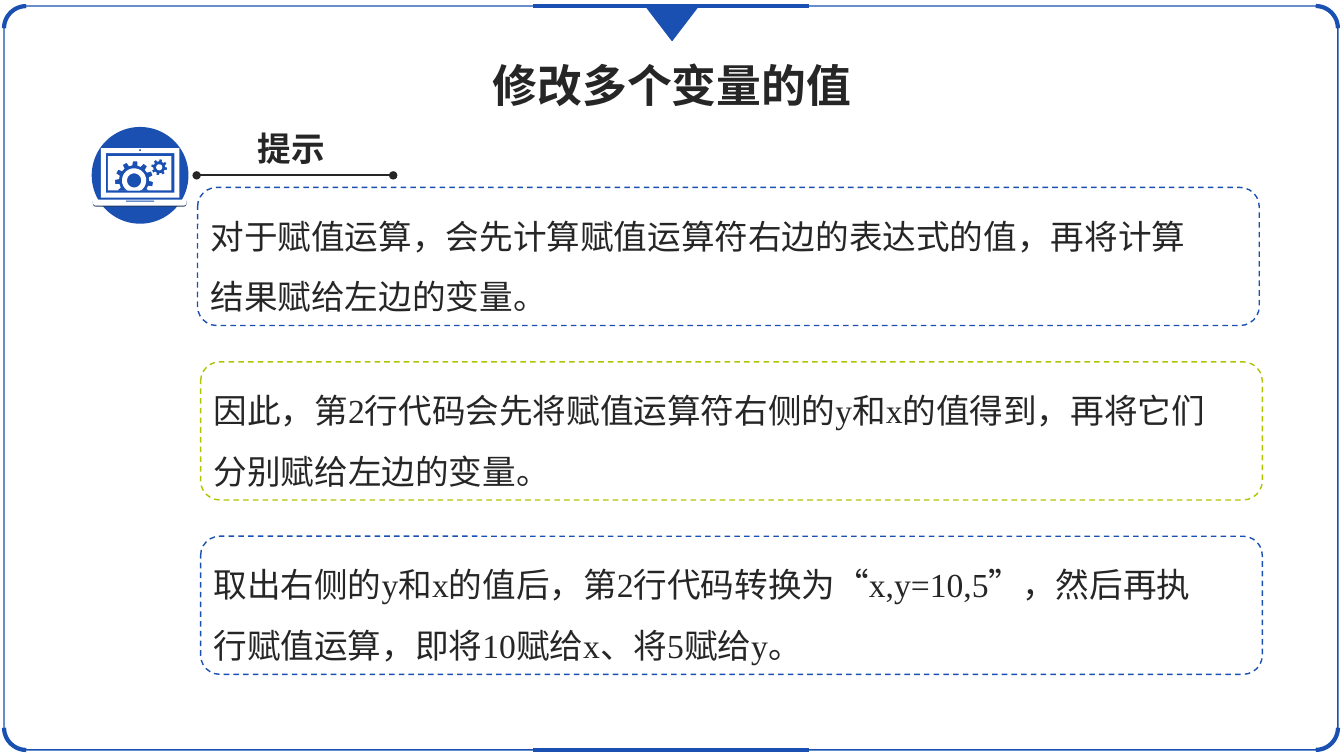
import dataclasses
import math

import lxml.etree
import pptx
import pptx.dml.color
import pptx.enum.dml
import pptx.enum.lang
import pptx.enum.shapes
import pptx.enum.text
import pptx.oxml.ns
import pptx.util

Inches = pptx.util.Inches
Pt = pptx.util.Pt
SHAPE = pptx.enum.shapes.MSO_SHAPE
qn = pptx.oxml.ns.qn


@dataclasses.dataclass(frozen=True)
class Theme:
    """Colours, fonts and sizes of the slide."""
    blue: str = "1950B2"
    green: str = "B1C400"
    navy: str = "203864"
    white: str = "FFFFFF"
    ink: str = "262626"
    latin: str = "Times New Roman"
    chinese: str = "Noto Sans CJK SC"
    title_size: float = 32
    body_size: float = 24
    thin: float = 1
    rule: float = 1.5
    thick: float = 3


THEME = Theme()


def rgb(color):
    """Turn a hex string into a colour."""
    return pptx.dml.color.RGBColor.from_string(color)


def paint(shape, fill=None, line=None, width=THEME.thin):
    """Give a shape its fill and outline, without shadow."""
    shape.shadow.inherit = False
    if fill:
        shape.fill.solid()
        shape.fill.fore_color.rgb = rgb(fill)
    else:
        shape.fill.background()
    if line:
        shape.line.color.rgb = rgb(line)
        shape.line.width = Pt(width)
    else:
        shape.line.fill.background()
    return shape


def add_preset(slide, kind, box, **style):
    """Add a painted preset shape in a box given in inches."""
    shape = slide.shapes.add_shape(kind, *[Inches(v) for v in box])
    return paint(shape, **style)


def add_rule(slide, left, right, y, color, width, ends=None):
    """Add a horizontal line, with optional end marks."""
    rule = slide.shapes.add_connector(
        pptx.enum.shapes.MSO_CONNECTOR.STRAIGHT,
        Inches(left), Inches(y), Inches(right), Inches(y))
    rule.line.color.rgb = rgb(color)
    rule.line.width = Pt(width)
    if ends:
        outline = rule.line._get_or_add_ln()
        for end in ("a:headEnd", "a:tailEnd"):
            lxml.etree.SubElement(outline, qn(end), type=ends)
    lxml.etree.SubElement(rule._element.spPr, qn("a:effectLst"))


def add_outline(slide, contours, fill):
    """Add a filled shape made of closed contours given in inches."""
    first, *others = [[(Inches(x), Inches(y)) for x, y in contour] for contour in contours]
    builder = slide.shapes.build_freeform(*first[0])
    builder.add_line_segments(first[1:])
    for contour in others:
        builder.move_to(*contour[0])
        builder.add_line_segments(contour[1:])
    return paint(builder.convert_to_shape(), fill=fill)


def rectangle(left, top, width, height):
    """Return the corners of a rectangle."""
    right, bottom = left + width, top + height
    return [(left, top), (right, top), (right, bottom), (left, bottom)]


def gear(x, y, outer, inner, teeth, floor):
    """Return the toothed edge of a gear, cut off at the floor."""
    points = []
    for tooth in range(teeth):
        for radius, step in ((inner, -0.3), (outer, -0.2), (outer, 0.2), (inner, 0.3)):
            angle = 2 * math.pi * (tooth + step) / teeth + 0.2
            points.append((x + radius * math.cos(angle),
                           min(y + radius * math.sin(angle), floor)))
    return points


def disc(x, y, radius, floor):
    """Return the edge of a disc, cut off at the floor."""
    return gear(x, y, radius, radius, 12, floor)


def add_text(slide, box, runs, size=THEME.body_size, heading=False):
    """Add a one-paragraph text, centred and bold for headings."""
    frame = slide.shapes.add_textbox(*[Inches(v) for v in box]).text_frame
    frame.word_wrap = not heading
    frame.auto_size = pptx.enum.text.MSO_AUTO_SIZE.SHAPE_TO_FIT_TEXT
    paragraph = frame.paragraphs[0]
    if heading:
        paragraph.alignment = pptx.enum.text.PP_ALIGN.CENTER
    else:
        paragraph.line_spacing = 1.5
    for words, font in runs:
        run = paragraph.add_run()
        run.text = words
        run.font.name = font
        run.font.size = Pt(size)
        run.font.bold = heading
        run.font.color.rgb = rgb(THEME.ink)
        run.font.language_id = pptx.enum.lang.MSO_LANGUAGE_ID.SIMPLIFIED_CHINESE
        lxml.etree.SubElement(run.font._element, qn("a:ea"), typeface=THEME.chinese)


def add_border(slide, left, top, width, height):
    """Draw the page border with its corners, bars and pointer."""
    right, bottom = left + width, top + height
    border = add_preset(slide, SHAPE.ROUNDED_RECTANGLE, (left, top, width, height),
                        line=THEME.blue)
    border.adjustments[0] = 0.029
    corner = 0.44
    corners = ((left, top, 270), (right - corner, top, 0),
               (right - corner, bottom - corner, 90), (left, bottom - corner, 180))
    for x, y, turn in corners:
        arc = add_preset(slide, SHAPE.ARC, (x, y, corner, corner),
                         line=THEME.blue, width=THEME.thick)
        arc.rotation = turn
    middle = left + width / 2
    for y in (top, bottom):
        add_rule(slide, middle - 1.37, middle + 1.37, y, THEME.blue, THEME.thick)
    pointer = add_preset(slide, SHAPE.ISOSCELES_TRIANGLE, (middle - 0.25, top, 0.52, 0.34),
                         fill=THEME.blue, line=THEME.blue)
    pointer.rotation = 180


def add_laptop_icon(slide, left, top, size):
    """Draw a laptop with two gears on a round badge."""
    add_preset(slide, SHAPE.OVAL, (left, top, size, size), fill=THEME.blue)
    for drop, color in ((0.73, THEME.navy), (0.72, THEME.white)):
        base = add_preset(slide, SHAPE.ROUND_2_SAME_RECTANGLE,
                          (left + 0.01, top + drop, 0.93, 0.06), fill=color)
        base.adjustments[0] = 0.5
        base.rotation = 180
    add_preset(slide, SHAPE.RECTANGLE, (left + 0.34, top + 0.73, 0.28, 0.01), fill=THEME.blue)
    add_outline(slide, [rectangle(left + 0.09, top + 0.21, 0.78, 0.49),
                        rectangle(left + 0.14, top + 0.26, 0.68, 0.39),
                        disc(left + 0.48, top + 0.23, 0.01, top + 0.25)], THEME.white)
    floor = top + 0.63
    big = (left + 0.42, top + 0.53)
    small = (left + 0.67, top + 0.4)
    add_outline(slide, [rectangle(left + 0.16, top + 0.29, 0.63, 0.34),
                        gear(*big, 0.19, 0.15, 11, floor),
                        gear(*small, 0.08, 0.06, 8, floor)], THEME.white)
    add_outline(slide, [disc(*big, 0.12, floor), disc(*big, 0.07, floor)], THEME.white)
    add_outline(slide, [disc(*small, 0.03, floor)], THEME.white)


def add_tip(slide, left, top, text_width, color, runs):
    """Place one tip in its dashed frame."""
    add_text(slide, (left + 0.03, top + 0.03, text_width, 1.24), runs)
    frame = add_preset(slide, SHAPE.ROUNDED_RECTANGLE, (left, top, 10.53, 1.37), line=color)
    frame.adjustments[0] = 0.139
    frame.line.dash_style = pptx.enum.dml.MSO_LINE.DASH


def add_tips_slide(deck):
    """Build the slide on changing several variables."""
    slide = deck.slides.add_slide(deck.slide_layouts[6])
    add_border(slide, 0.04, 0.06, 13.23, 7.38)
    add_text(slide, (4.77, 0.52, 3.79, 0.64), [("修改多个变量的值", THEME.latin)],
             THEME.title_size, heading=True)
    add_text(slide, (2.45, 1.22, 0.88, 0.5), [("提示", THEME.latin)], heading=True)
    add_rule(slide, 1.95, 3.9, 1.74, THEME.ink, THEME.rule, ends="oval")
    add_laptop_icon(slide, 0.91, 1.26, 0.96)
    tips = (
        (1.96, 10.16, THEME.blue,
         [("对于赋值运算，会先计算赋值运算符右边的表达式的值，再将计算结果赋给左边的变量。", THEME.latin)]),
        (1.99, 10.35, THEME.green,
         [("因此，第2行代码会先将赋值运算符右侧的y和x的值得到，再将它们分别赋给左边的变量。", THEME.latin)]),
        (1.99, 10.16, THEME.blue,
         [("取出右侧的y和x的值后，第2行代码转换为“x,y=10,5", THEME.latin), ("”", THEME.chinese),
          ("，然后再执行赋值运算，即将10赋给x、将5赋给y。", THEME.latin)]),
    )
    for row, (left, text_width, color, runs) in enumerate(tips):
        add_tip(slide, left, 1.86 + 1.73 * row, text_width, color, runs)


def main():
    """Create and save the deck."""
    deck = pptx.Presentation()
    deck.slide_width = Inches(13.33)
    deck.slide_height = Inches(7.5)
    add_tips_slide(deck)
    deck.save("out.pptx")


if __name__ == "__main__":
    main()
